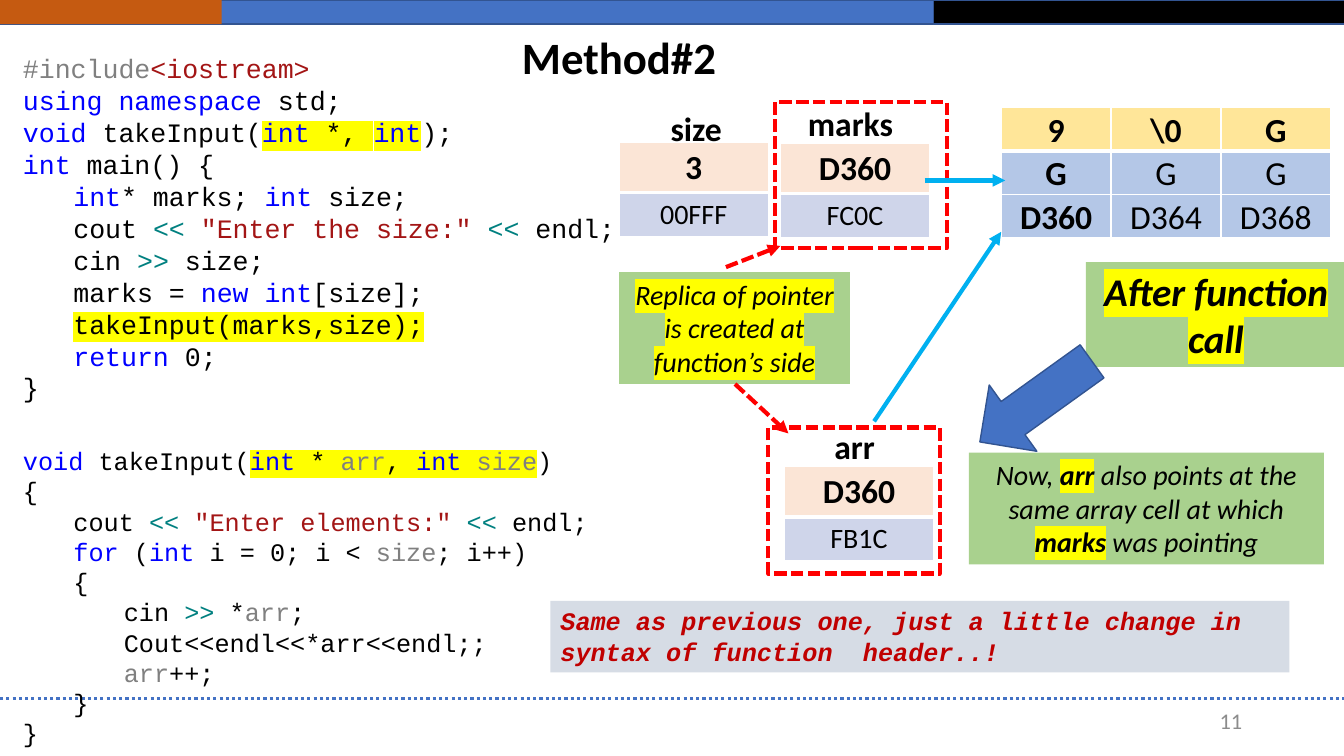
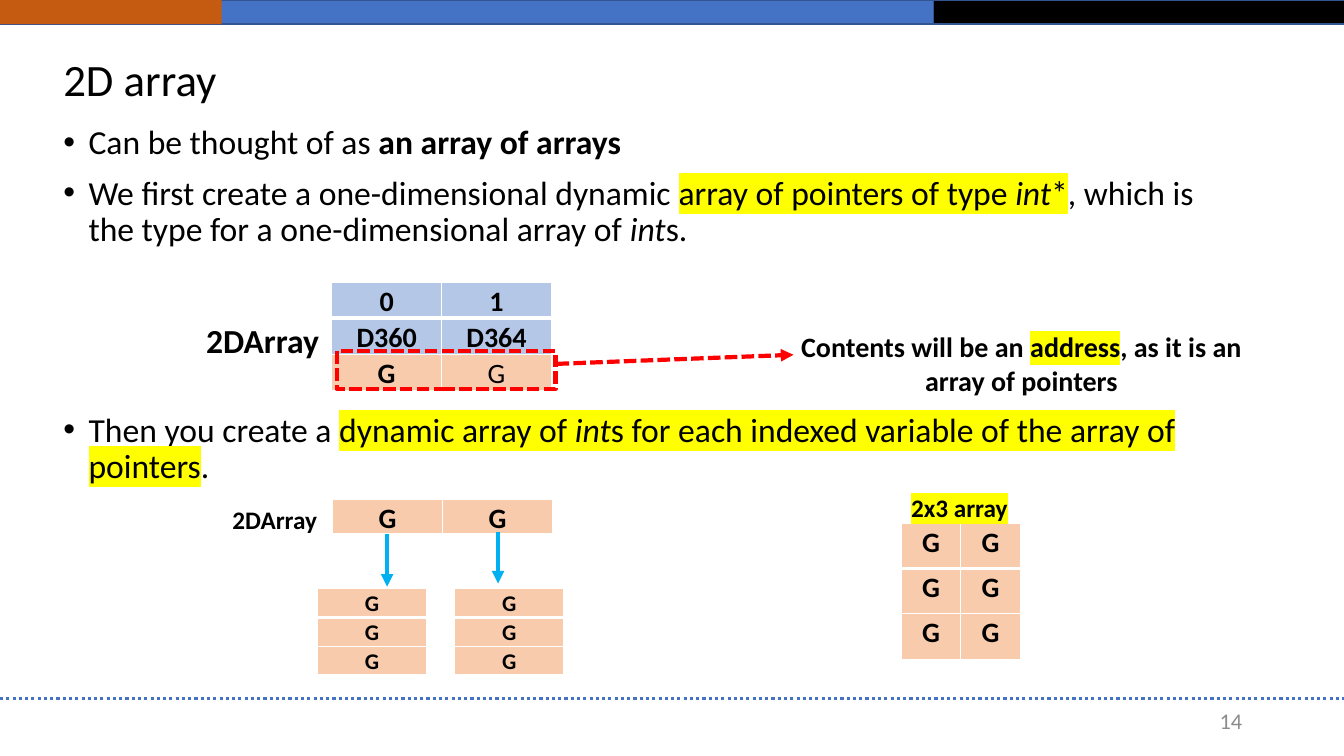
import dataclasses
import functools
import typing

import pptx
import pptx.dml.color
import pptx.enum.dml
import pptx.enum.shapes
import pptx.enum.text
import pptx.oxml
import pptx.oxml.ns
import pptx.util

Inches = pptx.util.Inches
Pt = pptx.util.Pt
Align = pptx.enum.text.PP_ALIGN
Anchor = pptx.enum.text.MSO_ANCHOR
Dash = pptx.enum.dml.MSO_LINE
Preset = pptx.enum.shapes.MSO_SHAPE
Box = tuple[float, float, float, float]
Point = tuple[float, float]


@dataclasses.dataclass(frozen=True)
class Theme:
    body_font: str = "Calibri"
    code_font: str = "Courier New"
    black: str = "000000"
    white: str = "FFFFFF"
    blue: str = "4472C4"
    outline: str = "325491"
    orange: str = "C55A11"
    page_gray: str = "8C8C8C"
    keyword: str = "0000FF"
    operator: str = "008080"
    literal: str = "A31515"
    muted: str = "808080"
    marker: str = "FFFF00"
    red: str = "FF0000"
    sky: str = "00B0F0"
    warning: str = "C00000"
    green: str = "A9D18E"
    slate: str = "D6DCE5"
    gold_cell: str = "FFE699"
    blue_cell: str = "B4C7E7"
    peach_cell: str = "F8CBAD"
    value_cell: str = "FBE5D6"
    address_cell: str = "CFD5EA"
    title_size: int = 32
    call_size: int = 28
    large_size: int = 24
    note_size: int = 20
    main_code_size: int = 19
    small_size: int = 18
    tiny_size: int = 16


THEME = Theme()


@dataclasses.dataclass(frozen=True)
class Run:
    text: str
    color: str | None = None
    bold: bool | None = None
    italic: bool | None = None
    marked: bool = False


@dataclasses.dataclass(frozen=True)
class Line:
    runs: tuple[Run, ...]
    level: int = 0


@dataclasses.dataclass(frozen=True)
class TextStyle:
    size: int
    font: str = THEME.body_font
    color: str = THEME.black
    bold: bool = False
    italic: bool = False
    align: Align = Align.LEFT
    spacing: float = 1.0
    space_before: int = 0
    anchor: Anchor = Anchor.TOP
    bulleted: bool = False


@dataclasses.dataclass(frozen=True)
class Row:
    fill: str
    cells: tuple[str, ...]
    bold_cells: int
    size: int


@dataclasses.dataclass(frozen=True)
class Grid:
    left: float
    top: float
    column_width: float
    row_height: float
    rows: tuple[Row, ...]
    compact: bool = True


@dataclasses.dataclass(frozen=True)
class Arrow:
    start: Point
    end: Point
    color: str
    dash: Dash | None = None


Keyword = functools.partial(Run, color=THEME.keyword)
Operator = functools.partial(Run, color=THEME.operator)
Literal = functools.partial(Run, color=THEME.literal)
Muted = functools.partial(Run, color=THEME.muted)
Marked = functools.partial(Run, marked=True)

TITLE = TextStyle(THEME.title_size, spacing=0.9, anchor=Anchor.MIDDLE)
PAGE = TextStyle(THEME.tiny_size, color=THEME.page_gray, align=Align.RIGHT, anchor=Anchor.MIDDLE)
BULLETS = TextStyle(THEME.large_size, spacing=0.9, space_before=10, bulleted=True)
LABEL = TextStyle(THEME.large_size, bold=True, align=Align.CENTER, spacing=1.5)
SMALL_LABEL = dataclasses.replace(LABEL, size=THEME.small_size)
NOTE = TextStyle(THEME.note_size, italic=True, align=Align.CENTER)
CALL = dataclasses.replace(NOTE, size=THEME.call_size, bold=True)
CAPTION = TextStyle(THEME.note_size, bold=True, align=Align.CENTER)
MAIN_CODE = TextStyle(THEME.main_code_size, THEME.code_font)
FUNCTION_CODE = TextStyle(THEME.small_size, THEME.code_font)
REMARK = TextStyle(THEME.small_size, THEME.code_font, THEME.warning, bold=True, italic=True)


def rgb(value: str) -> pptx.dml.color.RGBColor:
    return pptx.dml.color.RGBColor.from_string(value)


def xml(tag: str, attributes: str = "", inner: str = "") -> typing.Any:
    namespace = pptx.oxml.ns.nsdecls("a")
    return pptx.oxml.parse_xml(f"<a:{tag} {namespace} {attributes}>{inner}</a:{tag}>")


def solid(color: str) -> str:
    return f'<a:solidFill><a:srgbClr val="{color}"/></a:solidFill>'


def say(*runs: Run, level: int = 0) -> Line:
    return Line(runs, level)


def write(frame: typing.Any, lines: typing.Sequence[Line], style: TextStyle) -> None:
    frame.word_wrap = True
    frame.vertical_anchor = style.anchor
    for index, line in enumerate(lines):
        paragraph = frame.paragraphs[0] if index == 0 else frame.add_paragraph()
        paragraph.alignment = style.align
        paragraph.line_spacing = style.spacing
        paragraph.space_before = Pt(style.space_before)
        properties = paragraph._p.get_or_add_pPr()
        if style.bulleted:
            properties.set("marL", str(Inches(0.25)))
            properties.set("indent", str(-Inches(0.25)))
            properties.append(xml("buFont", 'typeface="Arial"'))
            properties.append(xml("buChar", 'char="•"'))
        elif line.level:
            properties.set("marL", str(Inches(0.5 * line.level)))
        for part in line.runs:
            run = paragraph.add_run()
            run.text = part.text
            font = run.font
            font.size = Pt(style.size)
            font.bold = style.bold if part.bold is None else part.bold
            font.italic = style.italic if part.italic is None else part.italic
            font.color.rgb = rgb(part.color or style.color)
            if part.marked:
                marker = f'<a:srgbClr val="{THEME.marker}"/>'
                run._r.get_or_add_rPr().append(xml("highlight", inner=marker))
            font.name = style.font


def add_text(slide: typing.Any, box: Box, style: TextStyle, *lines: Line) -> None:
    frame = slide.shapes.add_textbox(*map(Inches, box)).text_frame
    write(frame, lines, style)


def add_block(slide: typing.Any, box: Box, fill: str | None, line: str | None = None,
              width: float = 1, dash: Dash | None = None,
              preset: Preset = Preset.RECTANGLE) -> typing.Any:
    block = slide.shapes.add_shape(preset, *map(Inches, box))
    block.shadow.inherit = False
    if fill:
        block.fill.solid()
        block.fill.fore_color.rgb = rgb(fill)
    else:
        block.fill.background()
    if line:
        block.line.color.rgb = rgb(line)
        block.line.width = Pt(width)
        block.line.dash_style = dash
    else:
        block.line.fill.background()
    return block


def add_note(slide: typing.Any, box: Box, fill: str, style: TextStyle, line: Line) -> None:
    write(add_block(slide, box, fill).text_frame, [line], style)


def add_frame(slide: typing.Any, box: Box) -> None:
    add_block(slide, box, None, THEME.red, 3, Dash.SQUARE_DOT)


def add_line(slide: typing.Any, arrow: Arrow, width: float = 3, head: bool = True) -> None:
    connector = slide.shapes.add_connector(
        pptx.enum.shapes.MSO_CONNECTOR.STRAIGHT, *map(Inches, arrow.start + arrow.end))
    connector.line.color.rgb = rgb(arrow.color)
    connector.line.width = Pt(width)
    connector.line.dash_style = arrow.dash
    properties = connector._element.spPr
    if head:
        properties.find(pptx.oxml.ns.qn("a:ln")).append(xml("tailEnd", 'type="triangle"'))
    properties.append(xml("effectLst"))


def add_grid(slide: typing.Any, grid: Grid) -> None:
    columns = len(grid.rows[0].cells)
    table = slide.shapes.add_table(
        len(grid.rows), columns, Inches(grid.left), Inches(grid.top),
        Inches(grid.column_width * columns), Inches(grid.row_height * len(grid.rows))).table
    table.first_row = table.horz_banding = False
    for row_index, row in enumerate(grid.rows):
        for column, text in enumerate(row.cells):
            cell = table.cell(row_index, column)
            if grid.compact:
                cell.margin_left = cell.margin_right = Inches(0.07)
                cell.margin_top = cell.margin_bottom = 0
            thick_side = {0: "lnB", 1: "lnT"}.get(row_index)
            for side in ("lnL", "lnR", "lnT", "lnB"):
                width = Pt(3 if side == thick_side else 1)
                cell._tc.get_or_add_tcPr().append(xml(side, f'w="{width}"', solid(THEME.white)))
            cell.fill.solid()
            cell.fill.fore_color.rgb = rgb(row.fill)
            style = TextStyle(row.size, bold=column < row.bold_cells, align=Align.CENTER,
                              spacing=1.07 if grid.compact else 1.0)
            write(cell.text_frame, [say(Run(text))], style)


def variable(left: float, top: float, value: str, address: str) -> Grid:
    return Grid(left, top, 1.48, 0.41, (
        Row(THEME.value_cell, (value,), 1, THEME.large_size),
        Row(THEME.address_cell, (address,), 0, THEME.note_size)), compact=False)


def garbage(left: float, top: float, width: float, height: float,
            rows: int, columns: int, size: int = THEME.note_size) -> Grid:
    row = Row(THEME.peach_cell, ("G",) * columns, columns, size)
    return Grid(left, top, width, height, (row,) * rows)


def start_slide(deck: typing.Any, page: str) -> typing.Any:
    slide = deck.slides.add_slide(deck.slide_layouts[6])
    add_block(slide, (0, 0, 9.26, 0.24), THEME.blue, THEME.outline)
    add_block(slide, (9.26, 0, 4.08, 0.24), THEME.black, THEME.outline)
    add_block(slide, (0, 0, 2.2, 0.24), THEME.orange)
    add_line(slide, Arrow((0, 6.93), (13.33, 6.93), THEME.blue, Dash.ROUND_DOT), 2.25, False)
    add_text(slide, (9.42, 6.95, 3, 0.4), PAGE, say(Run(page)))
    return slide


def build_method(deck: typing.Any) -> None:
    slide = start_slide(deck, "11")
    title = dataclasses.replace(TITLE, bold=True, align=Align.CENTER)
    add_text(slide, (0.39, 0.18, 11.5, 0.84), title, say(Run("Method#2")))
    add_text(
        slide, (0.13, 0.47, 6.67, 3.94), MAIN_CODE,
        say(Muted("#include"), Literal("<iostream>")),
        say(Keyword("using namespace"), Run(" std;")),
        say(Keyword("void "), Run("takeInput("), Keyword("int", marked=True), Marked(" *, "),
            Keyword("int", marked=True), Run(");")),
        say(Keyword("int"), Run(" main() {")),
        say(Keyword("int"), Run("* marks; "), Keyword("int"), Run(" size;"), level=1),
        say(Run("cout "), Operator("<< "), Literal('"Enter the size:" '), Operator("<< "),
            Run("endl;"), level=1),
        say(Run("cin "), Operator(">>"), Run(" size;"), level=1),
        say(Run("marks = "), Keyword("new int"), Run("[size];"), level=1),
        say(Marked("takeInput(marks,size);"), level=1),
        say(Keyword("return"), Run(" 0;"), level=1),
        say(Run("}")))
    add_text(
        slide, (0.13, 4.37, 6.67, 3.13), FUNCTION_CODE,
        say(Keyword("void "), Run("takeInput("), Keyword("int", marked=True), Marked(" * "),
            Muted("arr", marked=True), Marked(", "), Keyword("int", marked=True), Marked(" "),
            Muted("size", marked=True), Run(")")),
        say(Run("{")),
        say(Run("cout "), Operator("<< "), Literal('"Enter elements:" '), Operator("<< "),
            Run("endl;"), level=1),
        say(Keyword("for"), Run(" ("), Keyword("int"), Run(" i = 0; i < "), Muted("size"),
            Run("; i++)"), level=1),
        say(Run("{"), level=1),
        say(Run("cin "), Operator(">>"), Run(" *"), Muted("arr"), Run(";"), level=2),
        say(Run("Cout<<endl<<*arr<<endl;;"), level=2),
        say(Muted("arr"), Run("++;"), level=2),
        say(Run("}"), level=1),
        say(Run("}")))
    add_grid(slide, Grid(9.93, 1.07, 1.09, 0.43, (
        Row(THEME.gold_cell, ("9", "\\0", "G"), 3, THEME.large_size),
        Row(THEME.blue_cell, ("G", "G", "G"), 1, THEME.large_size),
        Row(THEME.blue_cell, ("D360", "D364", "D368"), 1, THEME.large_size))))
    for cells in (variable(7.74, 1.42, "D360", "FC0C"), variable(6.14, 1.41, "3", "00FFF"),
                  variable(7.78, 4.63, "D360", "FB1C")):
        add_grid(slide, cells)
    for name, left, top in (("size", 6.25, 0.82), ("marks", 7.78, 0.77), ("arr", 7.82, 3.98)):
        add_text(slide, (left, top, 1.31, 0.64), LABEL, say(Run(name)))
    add_note(slide, (10.77, 2.6, 2.58, 1.04), THEME.green, CALL, say(Marked("After function call")))
    after_call = add_block(slide, (9.87, 3.3, 0.81, 1.37), THEME.blue, THEME.outline,
                           preset=Preset.DOWN_ARROW)
    after_call.rotation = 54.3
    add_note(slide, (6.14, 2.7, 2.29, 1.11), THEME.green, NOTE,
             say(Marked("Replica of pointer is created at function’s side")))
    for left, top in ((7.62, 4.24), (7.69, 1.01)):
        add_frame(slide, (left, top, 1.7, 1.45))
    for arrow in (Arrow((9.17, 1.79), (9.97, 1.79), THEME.sky),
                  Arrow((8.67, 4.18), (9.93, 2.3), THEME.sky),
                  Arrow((7.29, 3.81), (7.82, 4.3), THEME.red, Dash.SQUARE_DOT),
                  Arrow((7.2, 2.65), (7.74, 2.44), THEME.red, Dash.SQUARE_DOT)):
        add_line(slide, arrow)
    add_note(slide, (5.46, 5.96, 7.33, 0.71), THEME.slate, REMARK, say(
        Run("Same as previous one, just a little change in syntax of function  header..!")))
    add_note(slide, (9.61, 4.49, 3.52, 1.11), THEME.green, NOTE, say(
        Run("Now, "), Marked("arr", bold=True),
        Run(" also points at the same array cell at which "),
        Marked("marks", bold=True), Run(" was pointing")))


def build_array(deck: typing.Any) -> None:
    slide = start_slide(deck, "14")
    add_text(slide, (0.53, 0.39, 11.5, 0.84), TITLE, say(Run("2D array")))
    add_text(
        slide, (0.53, 1.2, 11.5, 1.5), BULLETS,
        say(Run("Can be thought of as "), Run("an array of arrays", bold=True)),
        say(Run("We first create a one-dimensional dynamic "),
            Marked("array of pointers of type "), Marked("int", italic=True), Marked("*"),
            Run(", which is the type for a one-dimensional array of "),
            Run("int", italic=True), Run("s.")))
    add_text(
        slide, (0.53, 4.05, 11.5, 0.9), BULLETS,
        say(Run("Then you create a "), Marked("dynamic array of "), Marked("int", italic=True),
            Marked("s for each indexed variable of the array of pointers"), Run(".")))
    add_grid(slide, Grid(3.29, 2.8, 1.09, 0.34, (
        Row(THEME.blue_cell, ("0", "1"), 2, THEME.note_size),
        Row(THEME.blue_cell, ("D360", "D364"), 2, THEME.note_size),
        Row(THEME.peach_cell, ("G", "G"), 1, THEME.note_size))))
    for cells in (garbage(3.3, 4.95, 1.09, 0.34, 1, 2),
                  garbage(3.15, 5.84, 1.08, 0.27, 3, 1, THEME.tiny_size),
                  garbage(4.51, 5.84, 1.08, 0.27, 3, 1, THEME.tiny_size),
                  garbage(8.94, 5.19, 0.59, 0.45, 3, 2)):
        add_grid(slide, cells)
    add_text(slide, (1.78, 2.92, 1.65, 0.64), LABEL, say(Run("2DArray")))
    add_text(slide, (1.9, 4.8, 1.65, 0.51), SMALL_LABEL, say(Run("2DArray")))
    add_text(slide, (8.69, 4.68, 1.65, 0.51), SMALL_LABEL, say(Marked("2x3 array")))
    add_text(slide, (7.74, 3.22, 4.78, 0.77), CAPTION, say(
        Run("Contents will be an "), Marked("address"), Run(", as it is an array of pointers")))
    add_frame(slide, (3.34, 3.48, 2.17, 0.38))
    for arrow in (Arrow((5.52, 3.61), (7.87, 3.52), THEME.red, Dash.SQUARE_DOT),
                  Arrow((3.84, 5.3), (3.84, 5.82), THEME.sky),
                  Arrow((4.94, 5.28), (4.94, 5.79), THEME.sky)):
        add_line(slide, arrow)


def main() -> None:
    deck = pptx.Presentation()
    deck.slide_width, deck.slide_height = Inches(13.33), Inches(7.5)
    build_method(deck)
    build_array(deck)
    deck.save("out.pptx")


main()
